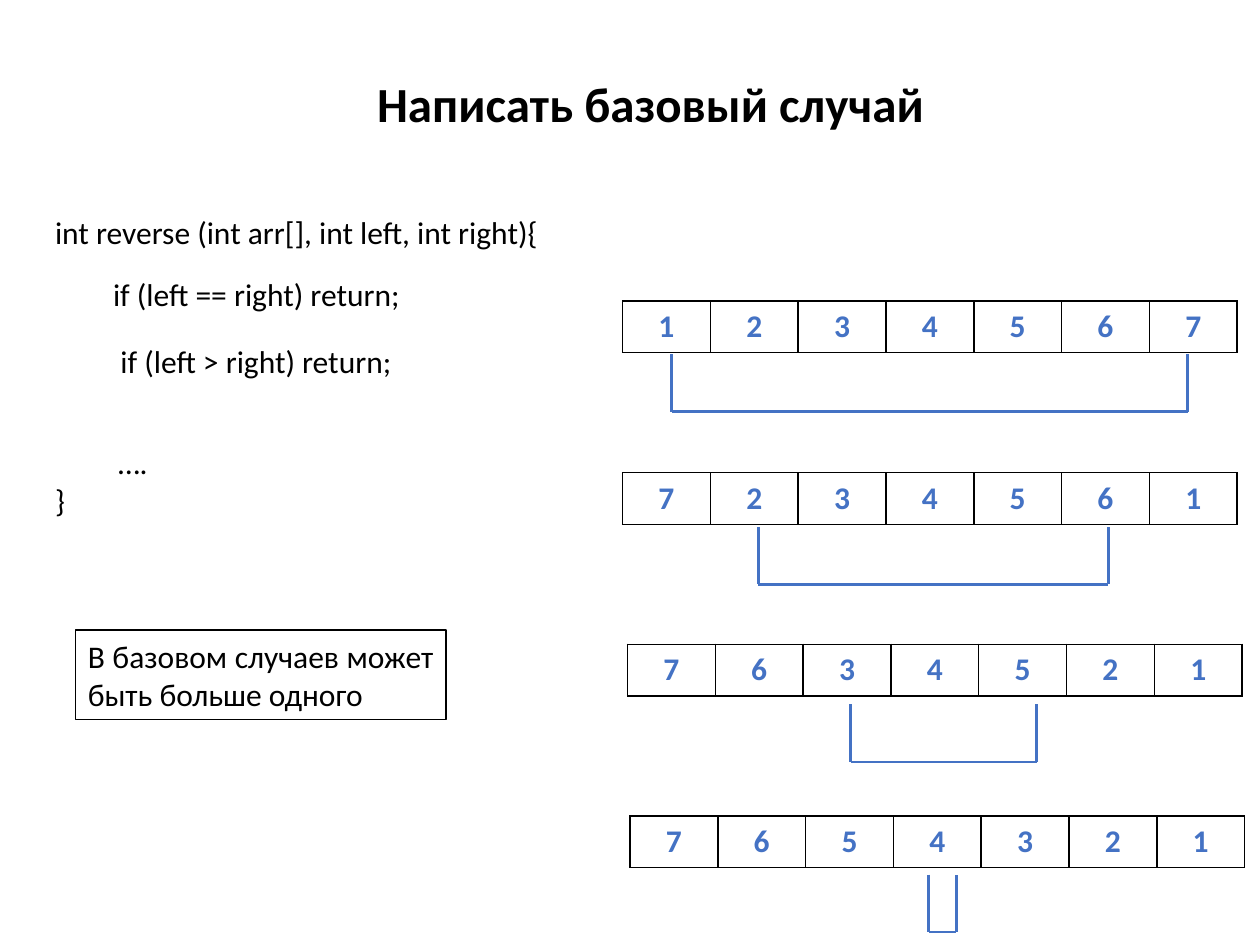
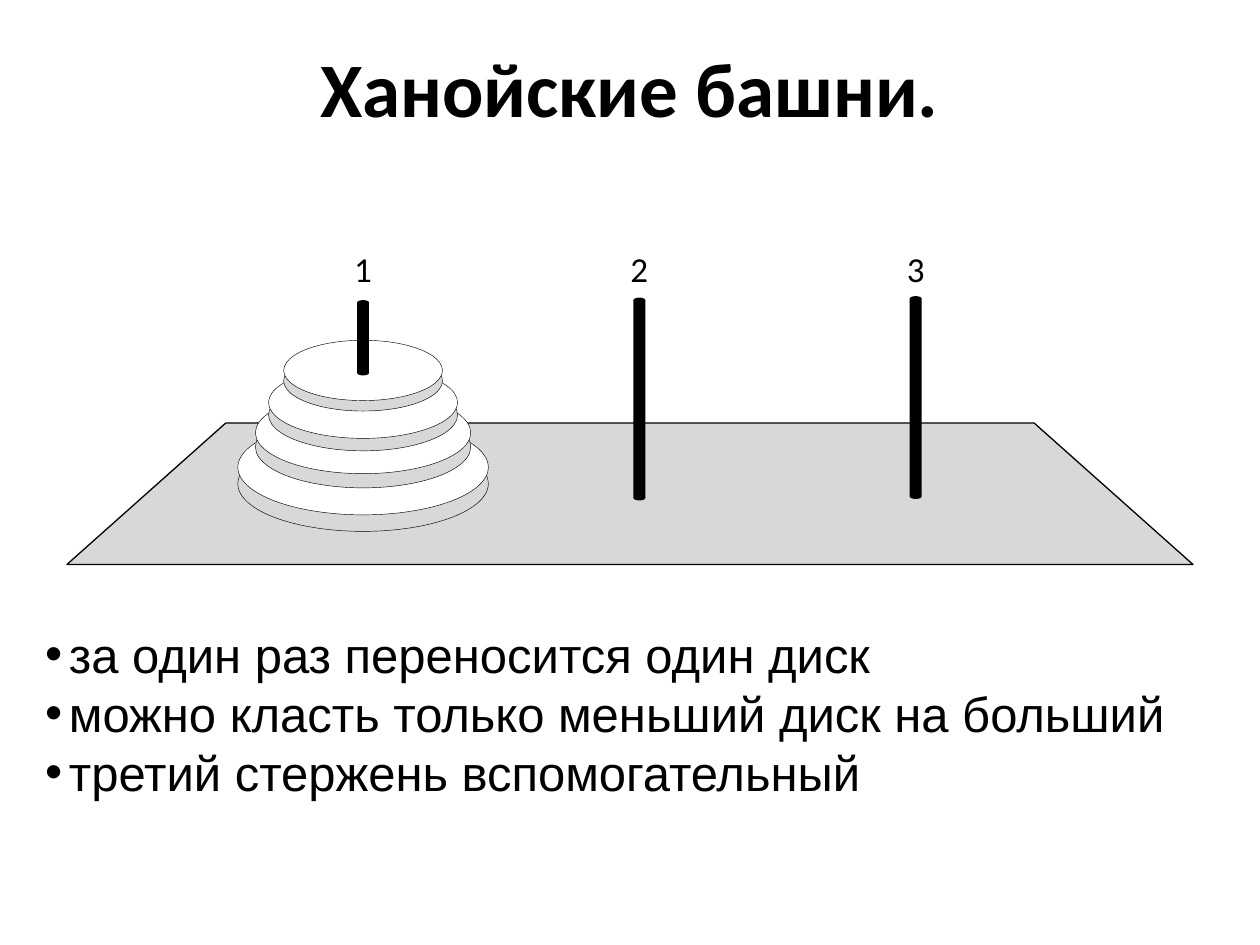
from dataclasses import dataclass

from lxml.etree import SubElement as SubEl
from pptx import Presentation as Deck
from pptx.dml.color import RGBColor as Rgb
from pptx.enum.shapes import MSO_CONNECTOR as Link, MSO_SHAPE as Form
from pptx.enum.text import MSO_ANCHOR as Anchor, MSO_AUTO_SIZE as Fit, PP_ALIGN as Align
from pptx.oxml.ns import qn
from pptx.util import Cm, Pt


@dataclass(frozen=True)
class Theme:
    ink: Rgb = Rgb(0, 0, 0)
    paper: Rgb = Rgb(255, 255, 255)
    blue: Rgb = Rgb(0x44, 0x72, 0xC4)
    grey: Rgb = Rgb(0xD8, 0xD8, 0xD8)
    face: str = "Calibri"
    list_face: str = "Arial"
    body: int = 18
    label: int = 20
    big: int = 28
    huge: int = 44


@dataclass(frozen=True)
class Box:
    x: float
    y: float
    w: float
    h: float

    def sides(self) -> tuple:
        return Cm(self.x), Cm(self.y), Cm(self.w), Cm(self.h)


@dataclass(frozen=True)
class Swap:
    items: str
    x: float
    left: float
    right: float
    top: float


@dataclass(frozen=True)
class Disk:
    width: float
    top: float


@dataclass(frozen=True)
class Peg:
    name: str
    top: float
    height: float


THEME = Theme()

ROW_TOP, ROW_STEP, ROW_H, CELL_W = 6.07, 3.46, 1.04, 1.77
HOOK_H = 1.16
SWAPS = [
    Swap("1234567", 12.55, 13.54, 23.94, 7.14),
    Swap("7234561", 12.55, 15.29, 22.34, 10.62),
    Swap("7634521", 12.65, 17.15, 20.9, 14.2),
    Swap("7654321", 12.7, 18.72, 19.28, 17.63),
]

PEG_X, PEG_STEP, PEG_W, CAP_H = 7.32, 5.57, 0.24, 0.1
DISK_RATIO, DISK_EDGE = 0.38, 0.066
DISKS = [Disk(5.05, 8.46), Disk(4.34, 7.9), Disk(3.81, 7.39), Disk(3.2, 6.86)]
PEGS = [Peg("1", 6.1, 1.42), Peg("2", 6.05, 3.99), Peg("3", 6.02, 3.99)]
BOARD = [(1.35, 11.38), (4.55, 8.53), (20.85, 8.53), (24.05, 11.38)]
RULES = [
    "за один раз переносится один диск",
    "можно класть только меньший диск на больший",
    "третий стержень вспомогательный",
]


def write(frame, lines: list[str], size: int, align: Align = Align.JUSTIFY,
          face: str = THEME.face, tint: Rgb = THEME.ink, bold: bool = False) -> None:
    frame.text = "\n".join(lines)
    for para in frame.paragraphs:
        para.alignment = align
        for run in para.runs:
            font = run.font
            font.name, font.size, font.bold = face, Pt(size), bold
            font.color.rgb = tint


def add_title(slide, text: str, box: Box, size: int, pitch: float = 1.0) -> None:
    title = slide.shapes.title
    title.left, title.top, title.width, title.height = box.sides()
    frame = title.text_frame
    write(frame, [text], size, Align.CENTER, bold=True)
    frame.auto_size = Fit.NONE
    frame.vertical_anchor = Anchor.TOP
    frame.paragraphs[0].line_spacing = pitch


def add_text(slide, lines: list[str], box: Box, size: int, wrap: bool = True, **style):
    frame = slide.shapes.add_textbox(*box.sides()).text_frame
    frame.word_wrap = wrap
    write(frame, lines, size, **style)
    return frame


def paint(shape, fill: Rgb | None, width: float = 0) -> None:
    shape.shadow.inherit = False
    if fill is None:
        shape.fill.background()
    else:
        shape.fill.solid()
        shape.fill.fore_color.rgb = fill
    if width:
        shape.line.color.rgb = THEME.ink
        shape.line.width = Pt(width)
    else:
        shape.line.fill.background()


def add_form(slide, form: Form, box: Box, fill: Rgb | None, width: float = 0):
    shape = slide.shapes.add_shape(form, *box.sides())
    paint(shape, fill, width)
    return shape


def frame_cell(cell) -> None:
    props = cell._tc.get_or_add_tcPr()
    for spot, side in enumerate(("a:lnL", "a:lnR", "a:lnT", "a:lnB")):
        edge = props.makeelement(qn(side), {"w": str(Pt(1))})
        props.insert(spot, edge)
        fill = SubEl(edge, qn("a:solidFill"))
        SubEl(fill, qn("a:srgbClr"), val=str(THEME.ink))


def add_row(slide, items: str, box: Box) -> None:
    table = slide.shapes.add_table(1, len(items), *box.sides()).table
    table.first_row = table.horz_banding = False
    table.rows[0].height = Cm(box.h)
    for spot, item in enumerate(items):
        table.columns[spot].width = Cm(CELL_W)
        cell = table.cell(0, spot)
        cell.fill.background()
        write(cell.text_frame, [item], THEME.body, Align.CENTER,
              tint=THEME.blue, bold=True)
        frame_cell(cell)


def add_hook(slide, swap: Swap) -> None:
    left, right, top, base = swap.left, swap.right, swap.top, swap.top + HOOK_H
    turns = [(left, top), (left, base), (right, base), (right, top)]
    for start, end in zip(turns, turns[1:]):
        line = slide.shapes.add_connector(Link.STRAIGHT, *map(Cm, start + end))
        line.line.color.rgb = THEME.blue
        line.line.width = Pt(1.5)
        SubEl(line._element.spPr, qn("a:effectLst"))


def indent(para, left: float, first: float = 0):
    props = para._p.get_or_add_pPr()
    props.set("marL", str(Cm(left)))
    props.set("indent", str(Cm(first)))
    return props


def add_disk(slide, disk: Disk) -> None:
    x, height = PEG_X - disk.width / 2, disk.width * DISK_RATIO
    edge = disk.width * DISK_EDGE
    for drop, fill in ((edge, THEME.grey), (0, THEME.paper)):
        add_form(slide, Form.OVAL, Box(x, disk.top + drop, disk.width, height), fill, 0.25)


def add_peg(slide, peg: Peg, mid: float) -> None:
    x = mid - PEG_W / 2
    add_form(slide, Form.RECTANGLE, Box(x, peg.top, PEG_W, peg.height), THEME.ink)
    for y in (peg.top, peg.top + peg.height):
        add_form(slide, Form.OVAL, Box(x, y - CAP_H / 2, PEG_W, CAP_H), THEME.ink)
    frame = add_text(slide, [peg.name], Box(mid - 0.52, 4.98, 1.04, 1.22),
                     THEME.label, align=Align.CENTER)
    frame.margin_left = frame.margin_right = frame.margin_top = frame.margin_bottom = 0


def draw_base(slide) -> None:
    add_title(slide, "Написать базовый случай", Box(2.26, 1.35, 21.7, 1.45), THEME.big)
    code = add_text(slide, ["int reverse (int arr[], int left, int right){", "….", "}"],
                    Box(0.86, 4.17, 11.38, 6.6), THEME.body)
    dots = code.paragraphs[1]
    dots.space_before = Pt(110)
    indent(dots, 1.27)
    for spot, swap in enumerate(SWAPS):
        y = ROW_TOP + spot * ROW_STEP
        add_row(slide, swap.items, Box(swap.x, y, CELL_W * len(swap.items), ROW_H))
        add_hook(slide, swap)
    add_text(slide, ["if (left == right) return;"], Box(2.03, 5.41, 6.38, 1.02),
             THEME.body, wrap=False)
    add_text(slide, ["if (left > right) return;"], Box(2.18, 6.78, 6.07, 1.02),
             THEME.body, wrap=False)
    note = add_form(slide, Form.RECTANGLE, Box(1.52, 12.7, 7.47, 1.8), None, 0.75)
    note.text_frame.word_wrap = True
    write(note.text_frame, ["В базовом случаев может быть больше одного"], THEME.body)


def draw_towers(slide) -> None:
    add_title(slide, "Ханойские башни.", Box(1.27, 0.91, 22.86, 3.18), THEME.huge, 0.9)
    start, *rest = [(Cm(x), Cm(y)) for x, y in BOARD]
    pen = slide.shapes.build_freeform(*start)
    pen.add_line_segments(rest, close=True)
    paint(pen.convert_to_shape(), THEME.grey, 0.75)
    for disk in DISKS:
        add_disk(slide, disk)
    for spot, peg in enumerate(PEGS):
        add_peg(slide, peg, PEG_X + spot * PEG_STEP)
    frame = add_text(slide, RULES, Box(0.66, 12.45, 24.08, 3.84),
                     THEME.big, face=THEME.list_face)
    frame.vertical_anchor = Anchor.MIDDLE
    for para in frame.paragraphs:
        props = indent(para, 0.48, -0.48)
        SubEl(props, qn("a:buFont"), typeface=THEME.list_face)
        SubEl(props, qn("a:buChar"), char="•")


def main() -> None:
    deck = Deck()
    deck.slide_width, deck.slide_height = Cm(25.4), Cm(19.05)
    for draw in (draw_base, draw_towers):
        draw(deck.slides.add_slide(deck.slide_layouts[5]))
    deck.save("out.pptx")


if __name__ == "__main__":
    main()
